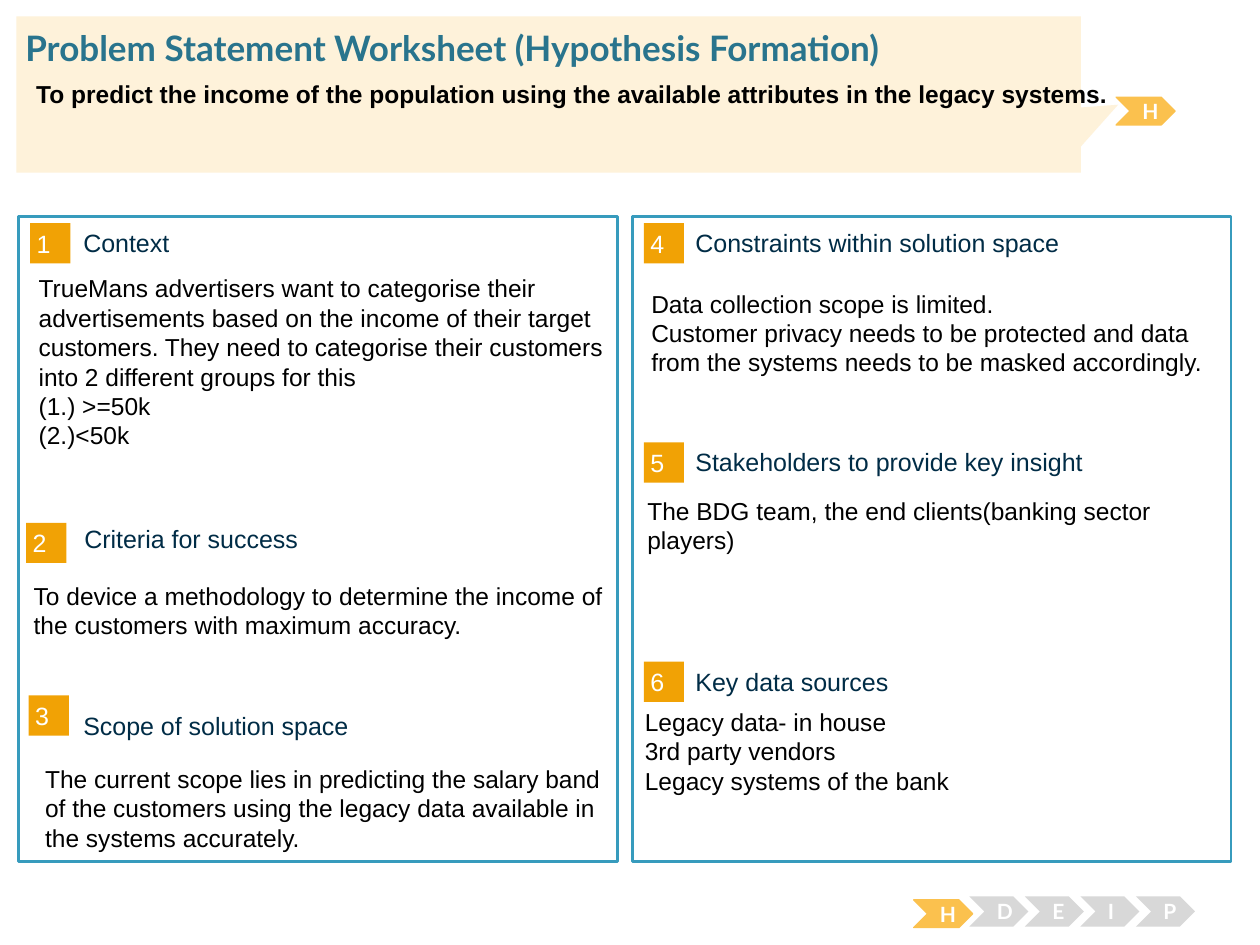
from dataclasses import dataclass
from typing import Optional

from pptx import Presentation
from pptx.dml.color import RGBColor
from pptx.enum.shapes import MSO_SHAPE
from pptx.enum.text import MSO_ANCHOR, MSO_AUTO_SIZE, PP_ALIGN
from pptx.util import Cm, Pt


@dataclass
class Box:
    left: float
    top: float
    width: float
    height: float

    def lengths(self):
        return Cm(self.left), Cm(self.top), Cm(self.width), Cm(self.height)


@dataclass
class TextStyle:
    size: float
    color: str
    font: str = "Arial"
    bold: bool = False
    anchor: MSO_ANCHOR = MSO_ANCHOR.TOP
    align: PP_ALIGN = PP_ALIGN.LEFT
    inset_x: float = 0.25
    inset_y: float = 0.13


@dataclass
class Section:
    number: int
    heading: str
    body: str
    badge_at: tuple[float, float]
    heading_at: tuple[float, float]
    body_box: Box


MIDDLE = MSO_ANCHOR.MIDDLE
TITLE = TextStyle(20, "29748D", "Lato", True, MIDDLE, inset_x=0, inset_y=0)
BADGE = TextStyle(14.3, "FFFFFF", anchor=MIDDLE, inset_x=0.13)
HEADING = TextStyle(14.3, "002C46", anchor=MIDDLE, inset_x=0, inset_y=0)
BODY = TextStyle(14, "000000")
STATEMENT = TextStyle(14, "000000", bold=True)
STAGE = TextStyle(12, "FFFFFF", "Lato", True, MIDDLE, PP_ALIGN.CENTER)

BADGE_SIDE = 0.81
HEADING_WIDTH, HEADING_HEIGHT = 9.98, 0.64
BODY_WIDTH = 12.01
STAGE_WIDTH, STAGE_STEP = 1.19, 1.12
ACTIVE, INACTIVE = "FBC14E", "D8D8D8"

SECTIONS = [
    Section(1, "Context",
            "TrueMans advertisers want to categorise their advertisements based on "
            "the income of their target customers. They need to categorise their "
            "customers into 2 different groups for this\n(1.) >=50k\n(2.)<50k",
            (0.61, 4.5), (1.68, 4.57), Box(0.53, 5.38, BODY_WIDTH, 3.45)),
    Section(2, "Criteria for success",
            "To device a methodology to determine the income of the customers "
            "with maximum accuracy.",
            (0.53, 10.54), (1.7, 10.54), Box(0.43, 11.58, BODY_WIDTH, 3.91)),
    Section(3, "Scope of solution space",
            "The current scope lies in predicting the salary band of the customers "
            "using the legacy data available in the systems accurately.",
            (0.58, 14.02), (1.68, 14.3), Box(0.66, 15.27, BODY_WIDTH, 2.08)),
    Section(4, "Constraints within solution space",
            "Data collection scope is limited.\vCustomer privacy needs to be "
            "protected and data from the systems needs to be masked accordingly.",
            (12.98, 4.5), (14.02, 4.57), Box(12.88, 5.69, BODY_WIDTH, 3)),
    Section(5, "Stakeholders to provide key insight",
            "The BDG team, the end clients(banking sector players)",
            (12.98, 8.92), (14.02, 8.99), Box(12.8, 9.86, BODY_WIDTH, 3)),
    Section(6, "Key data sources",
            "Legacy data- in house\n3rd party vendors\nLegacy systems of the bank",
            (12.98, 13.34), (14.02, 13.41), Box(12.75, 14.12, BODY_WIDTH, 3)),
]


def rgb(value: str) -> RGBColor:
    return RGBColor.from_string(value)


def write(shape, text: str, style: TextStyle) -> None:
    frame = shape.text_frame
    frame.text = text
    frame.word_wrap = True
    frame.auto_size = MSO_AUTO_SIZE.NONE
    frame.vertical_anchor = style.anchor
    frame.margin_left = frame.margin_right = Cm(style.inset_x)
    frame.margin_top = frame.margin_bottom = Cm(style.inset_y)
    for paragraph in frame.paragraphs:
        paragraph.alignment = style.align
        for run in paragraph.runs:
            run.font.size = Pt(style.size)
            run.font.name = style.font
            run.font.bold = style.bold
            run.font.color.rgb = rgb(style.color)


def add_block(slide, kind: MSO_SHAPE, box: Box, fill: str,
              line: Optional[str] = None, line_width: float = 0.75):
    block = slide.shapes.add_shape(kind, *box.lengths())
    block.shadow.inherit = False
    block.fill.solid()
    block.fill.fore_color.rgb = rgb(fill)
    if line:
        block.line.color.rgb = rgb(line)
        block.line.width = Pt(line_width)
    else:
        block.line.fill.background()
    return block


def add_text(slide, box: Box, text: str, style: TextStyle) -> None:
    write(slide.shapes.add_textbox(*box.lengths()), text, style)


def add_section(slide, section: Section) -> None:
    badge = add_block(slide, MSO_SHAPE.RECTANGLE,
                      Box(*section.badge_at, BADGE_SIDE, BADGE_SIDE), "F1A205")
    write(badge, str(section.number), BADGE)
    add_text(slide, Box(*section.heading_at, HEADING_WIDTH, HEADING_HEIGHT),
             section.heading, HEADING)
    add_text(slide, section.body_box, section.body, BODY)


def add_stage(slide, letter: str, left: float, top: float, active: bool) -> None:
    box = Box(left, top, STAGE_WIDTH, 0.56 if active else 0.61)
    stage = add_block(slide, MSO_SHAPE.CHEVRON, box,
                      ACTIVE if active else INACTIVE, ACTIVE if active else None)
    write(stage, letter, STAGE)


presentation = Presentation()
presentation.slide_width, presentation.slide_height = Cm(25.4), Cm(19.05)
slide = presentation.slides.add_slide(presentation.slide_layouts[5])

for column_left in (0.38, 12.75):
    add_block(slide, MSO_SHAPE.RECTANGLE, Box(column_left, 4.37, 12.07, 13),
              "FFFFFF", "379BBD", 1.5)
for section in SECTIONS:
    add_section(slide, section)

for position, letter in enumerate("HDEIP"):
    active = position == 0
    add_stage(slide, letter, 18.42 + position * STAGE_STEP,
              18.14 if active else 18.07, active)
add_stage(slide, "H", 22.5, 1.96, True)

banner = add_block(slide, MSO_SHAPE.RECTANGULAR_CALLOUT,
                   Box(0.33, 0.33, 21.46, 3.15), "FEF2DA")
banner.adjustments[0], banner.adjustments[1] = 0.535, 0.066

title = slide.shapes.title
title.left, title.top, title.width, title.height = Box(0.51, 0.53, 24.43, 0.86).lengths()
write(title, "Problem Statement Worksheet (Hypothesis Formation)", TITLE)
banner.element.addnext(title.element)

add_text(slide, Box(0.48, 1.47, 23.85, 1.37),
         "To predict the income of the population using the available attributes "
         "in the legacy systems.", STATEMENT)

presentation.save("out.pptx")
